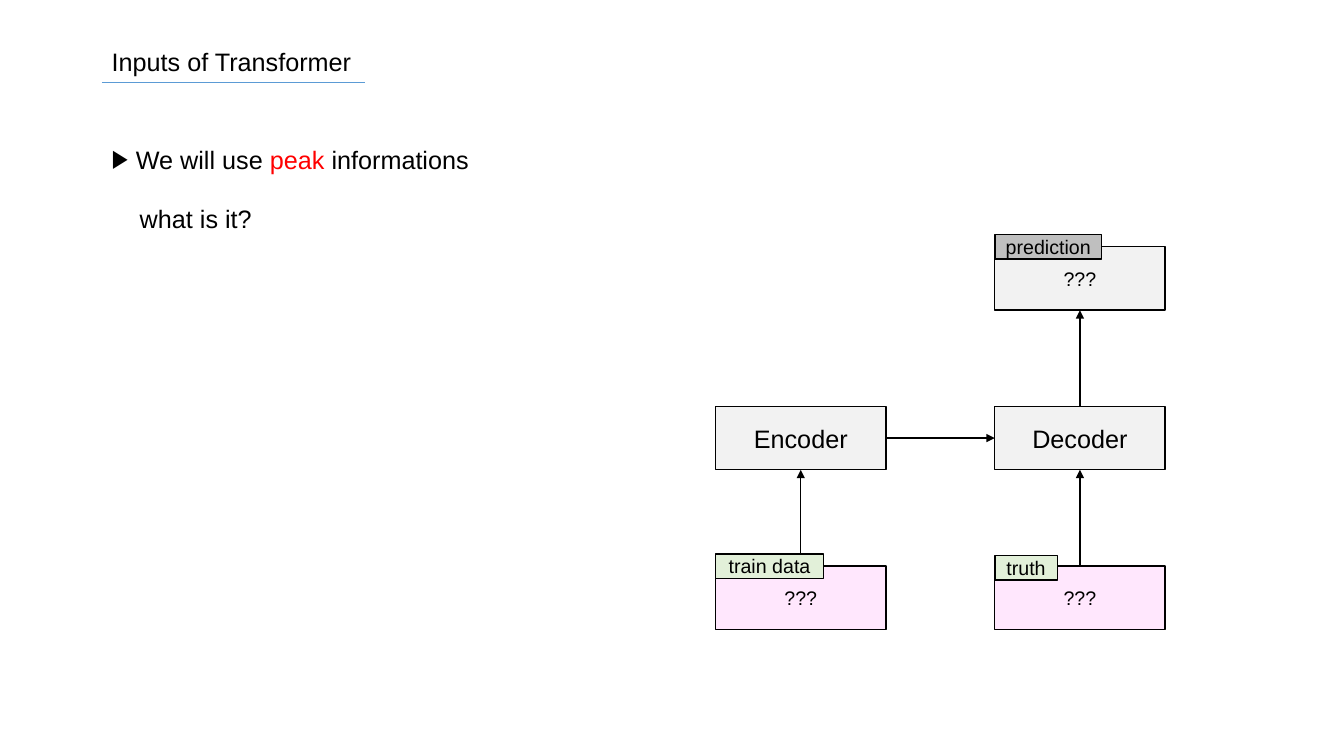
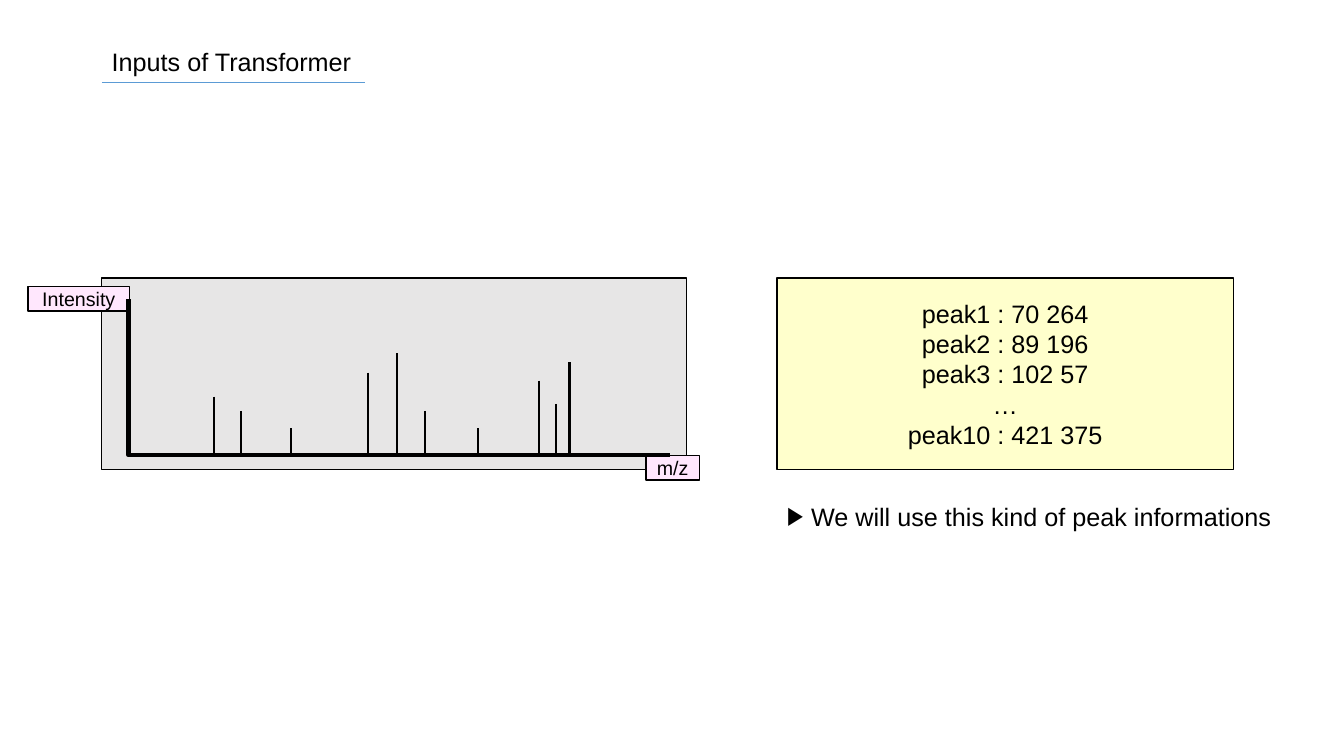
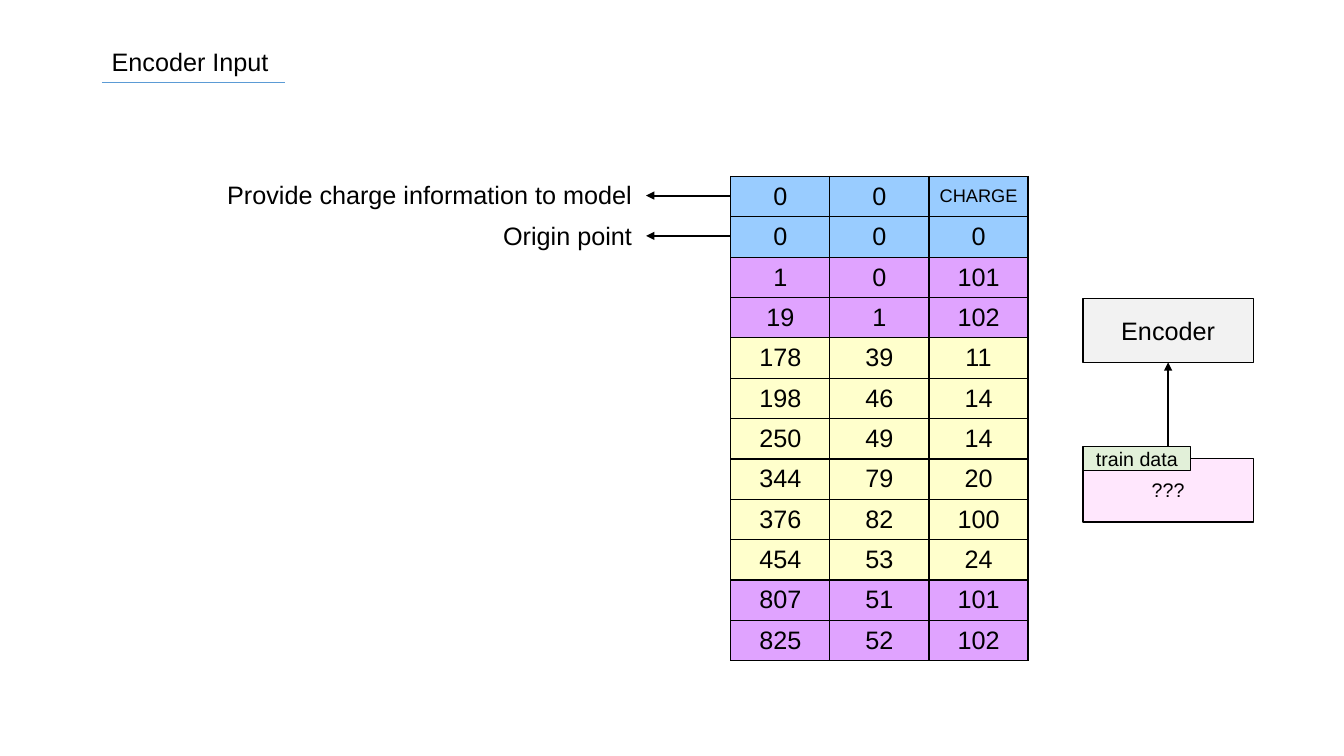
from lxml import etree
from pptx import Presentation
from pptx.dml.color import RGBColor
from pptx.enum import shapes, text
from pptx.oxml import ns
from pptx.util import Pt

BLACK = RGBColor(0x00, 0x00, 0x00)
RED = RGBColor(0xFF, 0x00, 0x00)
RULE_BLUE = RGBColor(0x5B, 0x9B, 0xD5)
GREY = RGBColor(0xBF, 0xBF, 0xBF)
PALE_GREY = RGBColor(0xE7, 0xE6, 0xE6)
PINK = RGBColor(0xFF, 0xE7, 0xFD)
GREEN = RGBColor(0xE2, 0xF0, 0xD9)
YELLOW = RGBColor(0xFF, 0xFF, 0xCC)
BLUE = RGBColor(0x99, 0xCC, 0xFF)
PURPLE = RGBColor(0xE0, 0xA3, 0xFF)

FONT = "Arial"
LEFT = 72.7
NODE_W, NODE_H = 121.6, 45.4
TAG_H = 17.5
TOP, SIDE_LEFT, BOTTOM, SIDE_RIGHT = range(4)
CENTER = text.PP_ALIGN.CENTER


def add_xml(parent, tag, **attrs):
    child = etree.SubElement(parent, ns.qn(tag))
    for name, value in attrs.items():
        child.set(name, str(value))
    return child


class Deck:
    """Holds the shared style and the current slide, and draws each kind of element."""

    def __init__(self):
        self.prs = Presentation()
        self.prs.slide_width, self.prs.slide_height = Pt(960), Pt(540)
        self.s = None

    def slide(self, title, rule_width):
        self.s = self.prs.slides.add_slide(self.prs.slide_layouts[6])
        self.label(LEFT, 29.5, 410, title)
        self.line((LEFT, 59), (LEFT + rule_width, 59), 0.5, color=RULE_BLUE)

    def run(self, p, words, size=18, color=BLACK):
        r = p.add_run()
        r.text = words
        r.font.name, r.font.size = FONT, Pt(size)
        r.font.color.rgb = color

    def label(self, x, y, w, words="", align=text.PP_ALIGN.LEFT):
        tf = self.s.shapes.add_textbox(Pt(x), Pt(y), Pt(w), Pt(29)).text_frame
        tf.word_wrap = True
        p = tf.paragraphs[0]
        p.alignment = align
        if words:
            self.run(p, words)
        return tf

    def bullet(self, x, y, w, *runs):
        tf = self.label(x, y, w)
        p = tf.paragraphs[0]
        pPr = p._p.get_or_add_pPr()
        pPr.set("marL", str(Pt(17.3)))
        pPr.set("indent", str(-Pt(17.3)))
        add_xml(pPr, "a:buFont", typeface=FONT)
        add_xml(pPr, "a:buChar", char="▶")
        for words, color in runs:
            self.run(p, words, color=color)
        return tf

    def box(self, x, y, w, h, fill, lines=(), size=18, opacity=100):
        sp = self.s.shapes.add_shape(shapes.MSO_SHAPE.RECTANGLE, Pt(x), Pt(y), Pt(w), Pt(h))
        sp.shadow.inherit = False
        sp.fill.solid()
        sp.fill.fore_color.rgb = fill
        if opacity < 100:
            clr = sp.element.spPr.find(ns.qn("a:solidFill"))[0]
            add_xml(clr, "a:alpha", val=opacity * 1000)
        sp.line.color.rgb, sp.line.width = BLACK, Pt(1)
        tf = sp.text_frame
        tf.word_wrap = True
        tf.vertical_anchor = text.MSO_ANCHOR.MIDDLE
        tf.margin_left = tf.margin_right = tf.margin_top = tf.margin_bottom = 0
        for i, words in enumerate(lines):
            p = tf.add_paragraph() if i else tf.paragraphs[0]
            p.alignment = CENTER
            self.run(p, words, size)
        return sp

    def node(self, x, y, words, size=18):
        return self.box(x, y, NODE_W, NODE_H, GREY, [words], size, opacity=20)

    def data(self, x, y):
        return self.box(x, y, NODE_W, NODE_H, PINK, ["???"], 14)

    def tag(self, x, y, w, words, fill):
        return self.box(x, y, w, TAG_H, fill, [words], 14)

    def line(self, start, end, width, color=BLACK, arrow=False, kind=shapes.MSO_CONNECTOR.STRAIGHT):
        c = self.s.shapes.add_connector(kind, *(Pt(v) for v in (*start, *end)))
        c.line.color.rgb, c.line.width = color, Pt(width)
        spPr = c.element.spPr
        if arrow:
            add_xml(spPr.find(ns.qn("a:ln")), "a:tailEnd", type="triangle")
        add_xml(spPr, "a:effectLst")
        return c

    def link(self, source, source_side, target, target_side):
        c = self.line((0, 0), (0, 0), 1, arrow=True)
        c.begin_connect(source, source_side)
        c.end_connect(target, target_side)

    def axes(self, top_left, bottom_right):
        c = self.line(top_left, bottom_right, 3, kind=shapes.MSO_CONNECTOR.ELBOW)
        geom = c.element.spPr.find(ns.qn("a:prstGeom"))
        guides = geom.find(ns.qn("a:avLst"))
        if guides is None:
            guides = add_xml(geom, "a:avLst")
        add_xml(guides, "a:gd", name="adj1", fmla="val 0")

    def table(self, x, y, col_w, row_h, rows):
        n_cols = len(rows[0][1])
        frame = self.s.shapes.add_table(len(rows), n_cols, Pt(x), Pt(y),
                                        Pt(col_w * n_cols), Pt(row_h * len(rows)))
        table = frame.table
        table.first_row = table.horz_banding = False
        for col in table.columns:
            col.width = Pt(col_w)
        for i, (fill, values) in enumerate(rows):
            table.rows[i].height = Pt(row_h)
            for j, value in enumerate(values):
                self.cell(table.cell(i, j), value, fill)

    def cell(self, cell, value, fill):
        cell.margin_left = cell.margin_right = Pt(3.6)
        cell.vertical_anchor = text.MSO_ANCHOR.MIDDLE
        tcPr = cell._tc.get_or_add_tcPr()
        for side in ("a:lnL", "a:lnR", "a:lnT", "a:lnB"):
            ln = add_xml(tcPr, side, w=Pt(1))
            add_xml(add_xml(ln, "a:solidFill"), "a:srgbClr", val=BLACK)
        cell.fill.solid()
        cell.fill.fore_color.rgb = fill
        p = cell.text_frame.paragraphs[0]
        p.alignment = CENTER
        self.run(p, str(value), 13 if isinstance(value, str) else 18)

    def encoder(self, x, y):
        encoder = self.node(x, y, "Encoder")
        train = self.data(x, y + 114)
        self.link(train, TOP, encoder, BOTTOM)
        self.tag(x, y + 105.4, 77, "train data", GREEN)
        return encoder


def architecture(deck):
    deck.slide("Inputs of Transformer", 188)
    tf = deck.bullet(LEFT, 99.4, 420, ("We will use ", BLACK), ("peak ", RED), ("informations", BLACK))
    p = tf.add_paragraph()
    p._p.get_or_add_pPr().set("marL", str(Pt(20)))
    p.space_before = Pt(21)
    deck.run(p, "what is it?")

    decoder_x, row_y, pitch = 710.6, 290.2, 114
    encoder = deck.encoder(511.2, row_y)
    decoder = deck.node(decoder_x, row_y, "Decoder")
    truth = deck.data(decoder_x, row_y + pitch)
    prediction = deck.node(decoder_x, row_y - pitch, "???", 14)
    deck.link(encoder, SIDE_RIGHT, decoder, SIDE_LEFT)
    deck.link(truth, TOP, decoder, BOTTOM)
    deck.link(decoder, TOP, prediction, BOTTOM)
    deck.tag(decoder_x, 396.7, 44.6, "truth", GREEN)
    deck.tag(decoder_x, 167.6, 76.4, "prediction", GREY)


def spectrum(deck):
    deck.slide("Inputs of Transformer", 188)
    panel_y, panel_h, base = 198.6, 136.8, 325.2
    deck.box(LEFT, panel_y, 417.8, panel_h, PALE_GREY)
    deck.tag(20, 204.8, 72.6, "Intensity", PINK)
    deck.tag(461.3, 325.4, 38.4, "m/z", PINK)
    peaks = [(152.6, 41.8), (172.1, 31.7), (208.2, 19.4), (262.8, 59), (283.6, 73),
             (303.6, 31.7), (341.4, 19.4), (384.8, 53.3), (396.9, 36.7), (406.8, 66.5)]
    for x, height in peaks:
        deck.line((x, base - height), (x, base), 1.5)
    deck.axes((91.8, 213.6), (478.6, base))
    deck.box(555, panel_y, 326, panel_h, YELLOW,
             ["peak1 : 70 264", "peak2 : 89 196", "peak3 : 102 57", "…", "peak10 : 421 375"])
    deck.bullet(555, 354.4, 416, ("We will use this kind of peak informations", BLACK))


def encoder_input(deck):
    deck.slide("Encoder Input", 131)
    deck.encoder(773.6, 213.4)
    table_x, table_y, row_h = 522, 126, 28.8
    deck.table(table_x, table_y, 70.8, row_h, [
        (BLUE, (0, 0, "CHARGE")),
        (BLUE, (0, 0, 0)),
        (PURPLE, (1, 0, 101)),
        (PURPLE, (19, 1, 102)),
        (YELLOW, (178, 39, 11)),
        (YELLOW, (198, 46, 14)),
        (YELLOW, (250, 49, 14)),
        (YELLOW, (344, 79, 20)),
        (YELLOW, (376, 82, 100)),
        (YELLOW, (454, 53, 24)),
        (PURPLE, (807, 51, 101)),
        (PURPLE, (825, 52, 102)),
    ])
    for i, note in enumerate(["Provide charge information to model", "Origin point"]):
        y = table_y + 13.7 + i * row_h
        deck.line((table_x, y), (461.5, y), 1.5, arrow=True)
        deck.label(148.5, y - 15, 310, note, text.PP_ALIGN.RIGHT)


def main():
    deck = Deck()
    architecture(deck)
    spectrum(deck)
    encoder_input(deck)
    deck.prs.save("out.pptx")


if __name__ == "__main__":
    main()
